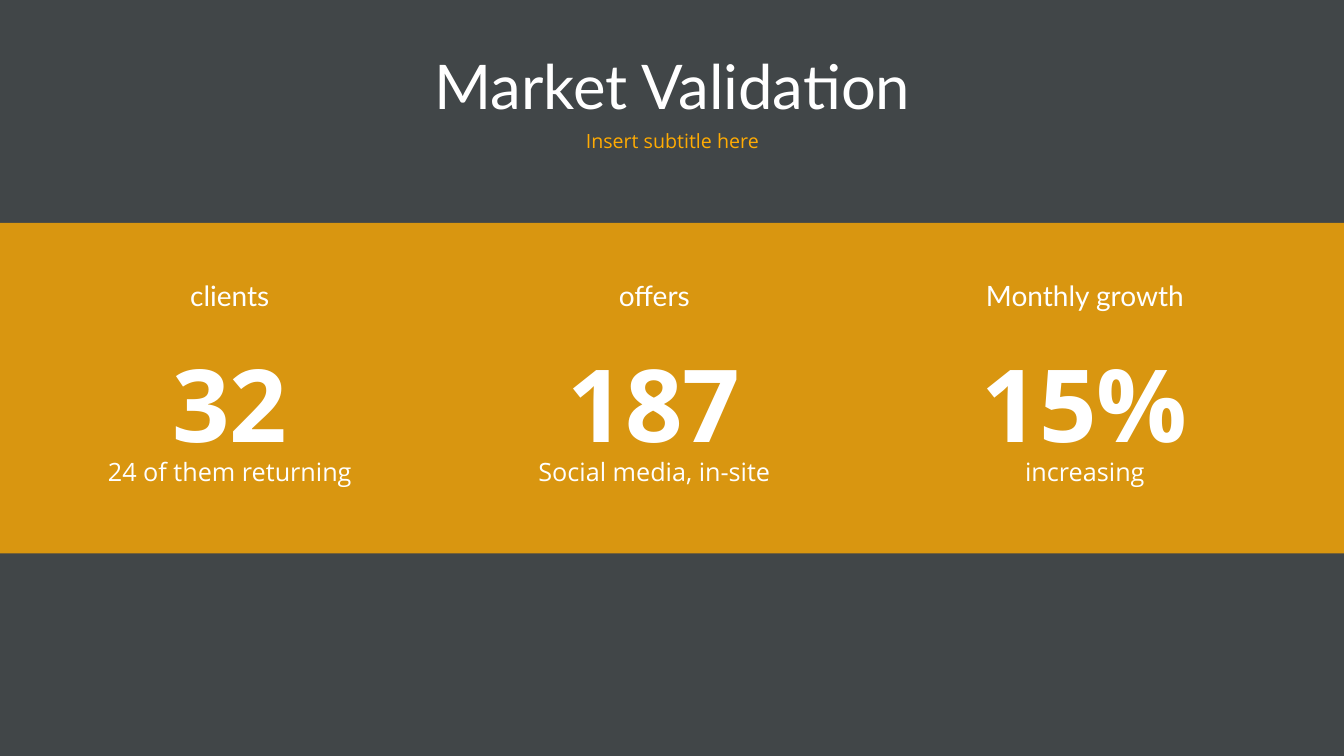
from lxml.etree import SubElement
from pptx import Presentation
from pptx.dml.color import RGBColor
from pptx.enum.shapes import MSO_SHAPE
from pptx.enum.text import MSO_ANCHOR, MSO_AUTO_SIZE, PP_ALIGN
from pptx.oxml.ns import qn
from pptx.util import Inches, Pt

COLORS = {"dark": "181E20", "accent": "FFAB03", "white": "FFFFFF"}
HEADING_FONT = "Lato"
BODY_FONT = "Open Sans"
SLIDE_WIDTH = 13.33
SLIDE_HEIGHT = 7.5
FIGURE_WIDTH = 2.94
METRICS = [
    (2.28, 3.33, "clients", "32", "24 of them returning"),
    (6.49, 3.33, "offers", "187", "Social media, in-site"),
    (10.76, 3.91, "Monthly growth", "15%", "increasing"),
]


class SlideBuilder:
    """Hold the current slide and draw its elements in one style."""

    def __init__(self, slide):
        """Remember the slide to draw on."""
        self.slide = slide

    def place(self, shape, left, top, width, height):
        """Move and size a shape, in inches."""
        shape.left, shape.top = Inches(left), Inches(top)
        shape.width, shape.height = Inches(width), Inches(height)

    def set_text(self, shape, text, size, font, color="white", bold=False,
                 line_spacing=1.0, anchor=MSO_ANCHOR.TOP,
                 auto_size=MSO_AUTO_SIZE.NONE):
        """Fill a shape with one centred paragraph and return it."""
        frame = shape.text_frame
        frame.text = text
        frame.word_wrap = True
        frame.auto_size = auto_size
        frame.vertical_anchor = anchor
        paragraph = frame.paragraphs[0]
        paragraph.alignment = PP_ALIGN.CENTER
        paragraph.line_spacing = line_spacing
        run_font = paragraph.runs[0].font
        run_font.name = font
        run_font.size = Pt(size)
        run_font.bold = bold
        run_font.color.rgb = RGBColor.from_string(COLORS[color])
        return paragraph

    def band(self, top, height, color, opacity, level):
        """Draw a translucent full-width band at a stacking level."""
        shape = self.slide.shapes.add_shape(
            MSO_SHAPE.RECTANGLE, 0, Inches(top), Inches(SLIDE_WIDTH), Inches(height))
        shape.shadow.inherit = False
        shape.line.fill.background()
        shape.fill.solid()
        shape.fill.fore_color.rgb = RGBColor.from_string(COLORS[color])
        fill_color = shape.element.spPr.find(f"{qn('a:solidFill')}/{qn('a:srgbClr')}")
        SubElement(fill_color, qn("a:alpha"), val=str(opacity * 1000))
        shape.element.getparent().insert(2 + level, shape.element)

    def title(self, text):
        """Format the title placeholder."""
        shape = self.slide.shapes.title
        self.place(shape, 0.92, 0.4, 11.5, 0.98)
        self.set_text(shape, text, 44, HEADING_FONT, line_spacing=0.9,
                      anchor=MSO_ANCHOR.MIDDLE)

    def subtitle(self, text):
        """Format the body placeholder as an unbulleted subtitle."""
        shape = self.slide.placeholders[1]
        self.place(shape, 0.92, 1.26, 11.5, 0.4)
        paragraph = self.set_text(shape, text, 14, BODY_FONT, "accent", line_spacing=0.9)
        paragraph.space_before = Pt(10)
        properties = shape.element.find(f".//{qn('a:pPr')}")
        properties.set("marL", "0")
        properties.set("indent", "0")
        SubElement(properties, qn("a:buNone"))

    def label(self, center, top, width, height, text, size, font, **style):
        """Add a text box centred on a column."""
        shape = self.slide.shapes.add_textbox(
            Inches(center - width / 2), Inches(top), Inches(width), Inches(height))
        self.set_text(shape, text, size, font, **style)

    def metric(self, center, heading_width, heading, figure, detail):
        """Add a column with a heading, a large figure and a detail."""
        growing = {"line_spacing": 1.5, "auto_size": MSO_AUTO_SIZE.SHAPE_TO_FIT_TEXT}
        self.label(center, 4.33, FIGURE_WIDTH, 0.56, detail, 18, BODY_FONT, **growing)
        self.label(center, 2.67, heading_width, 0.51, heading, 20, HEADING_FONT,
                   anchor=MSO_ANCHOR.MIDDLE)
        self.label(center, 2.74, FIGURE_WIDTH, 1.72, figure, 72, BODY_FONT,
                   bold=True, **growing)


def main():
    """Build and save the presentation."""
    presentation = Presentation()
    presentation.slide_width = Inches(SLIDE_WIDTH)
    presentation.slide_height = Inches(SLIDE_HEIGHT)
    slide = presentation.slides.add_slide(presentation.slide_layouts[1])
    builder = SlideBuilder(slide)
    builder.band(0, SLIDE_HEIGHT, "dark", 82, 0)
    builder.band(2.21, 3.28, "accent", 80, 1)
    builder.title("Market Validation")
    builder.subtitle("Insert subtitle here")
    for metric in METRICS:
        builder.metric(*metric)
    presentation.save("out.pptx")


if __name__ == "__main__":
    main()
